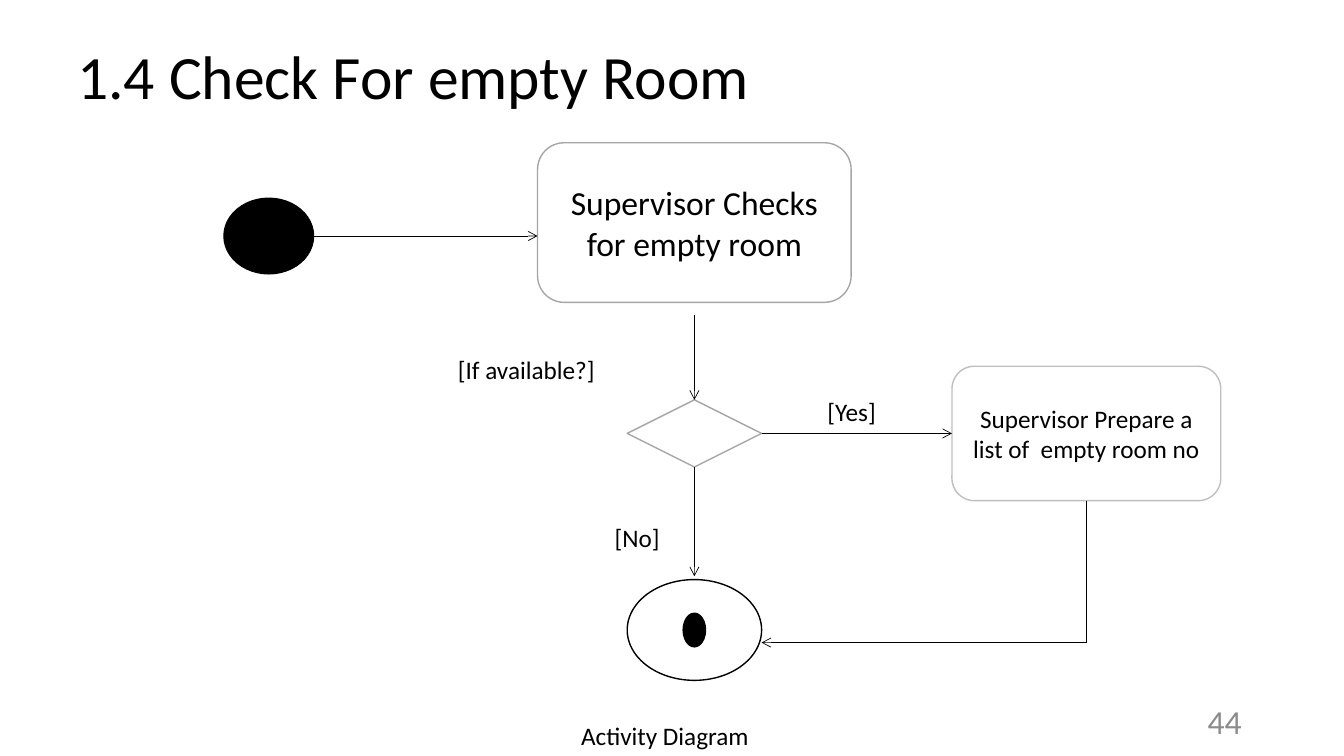
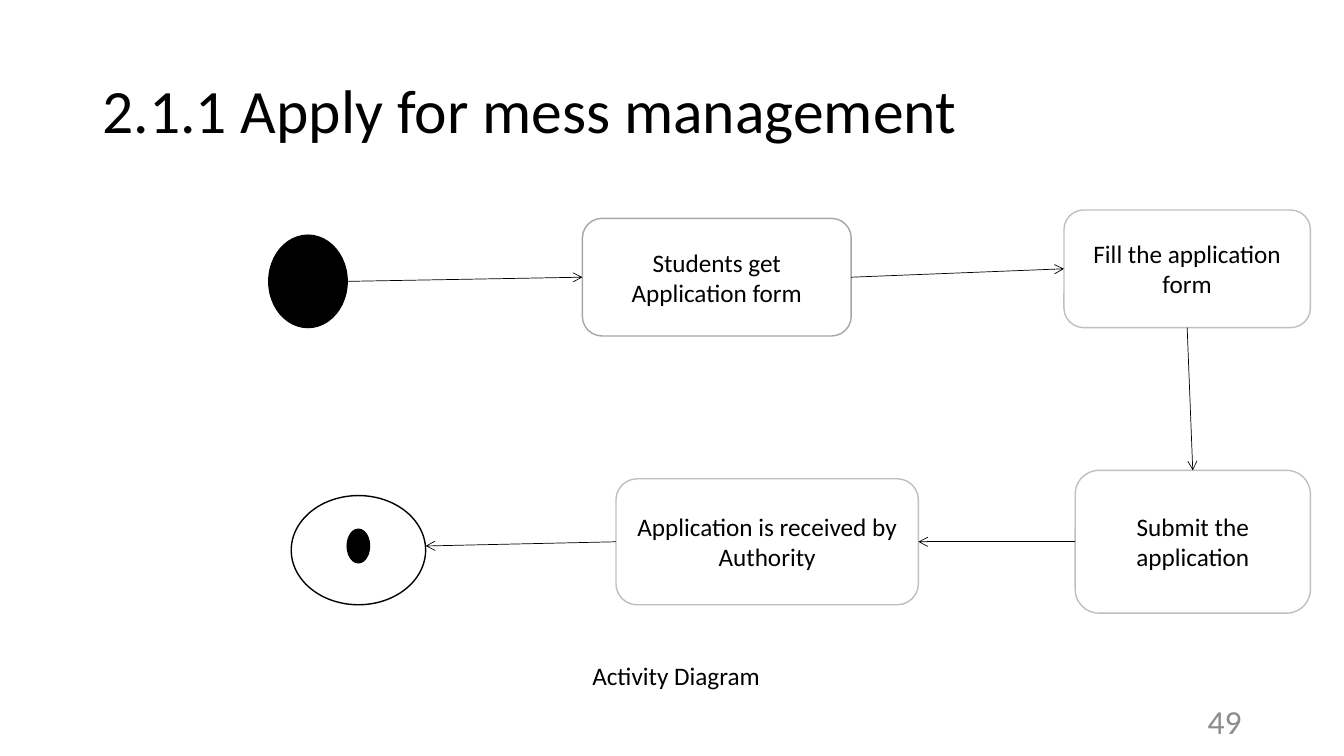
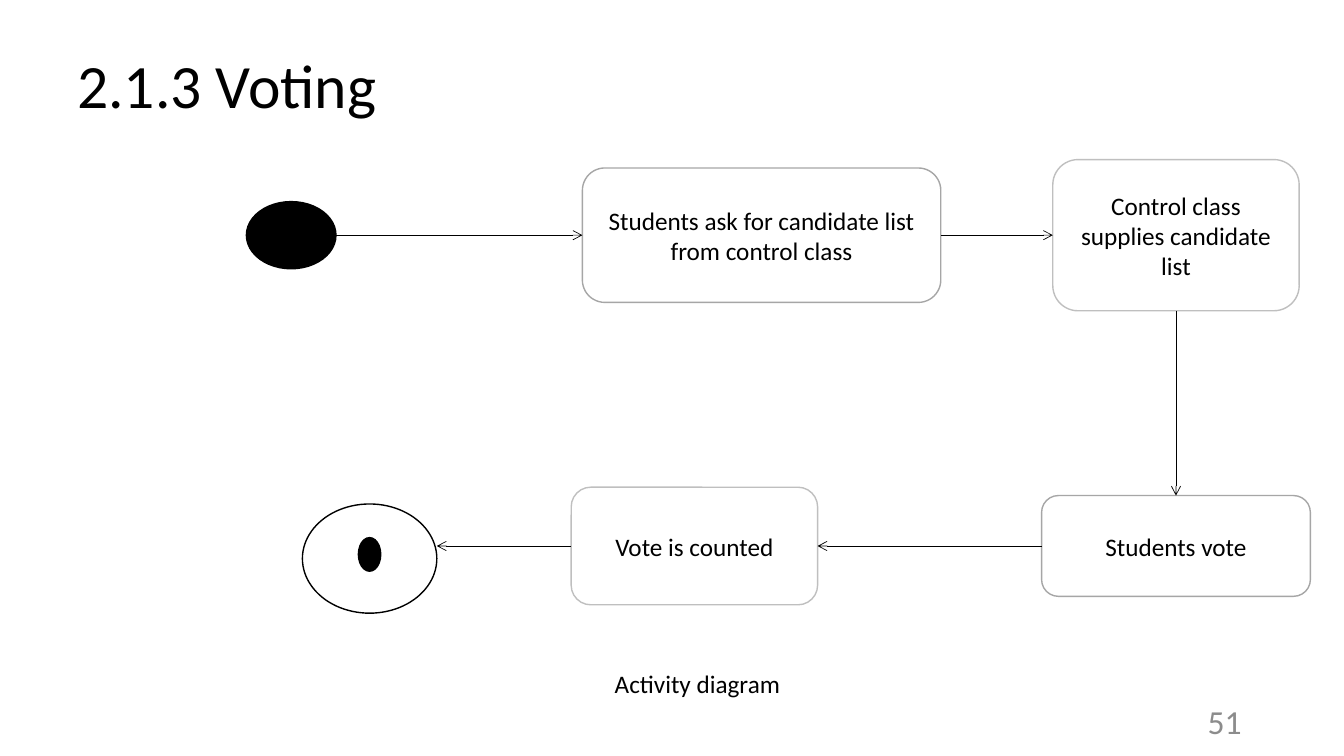
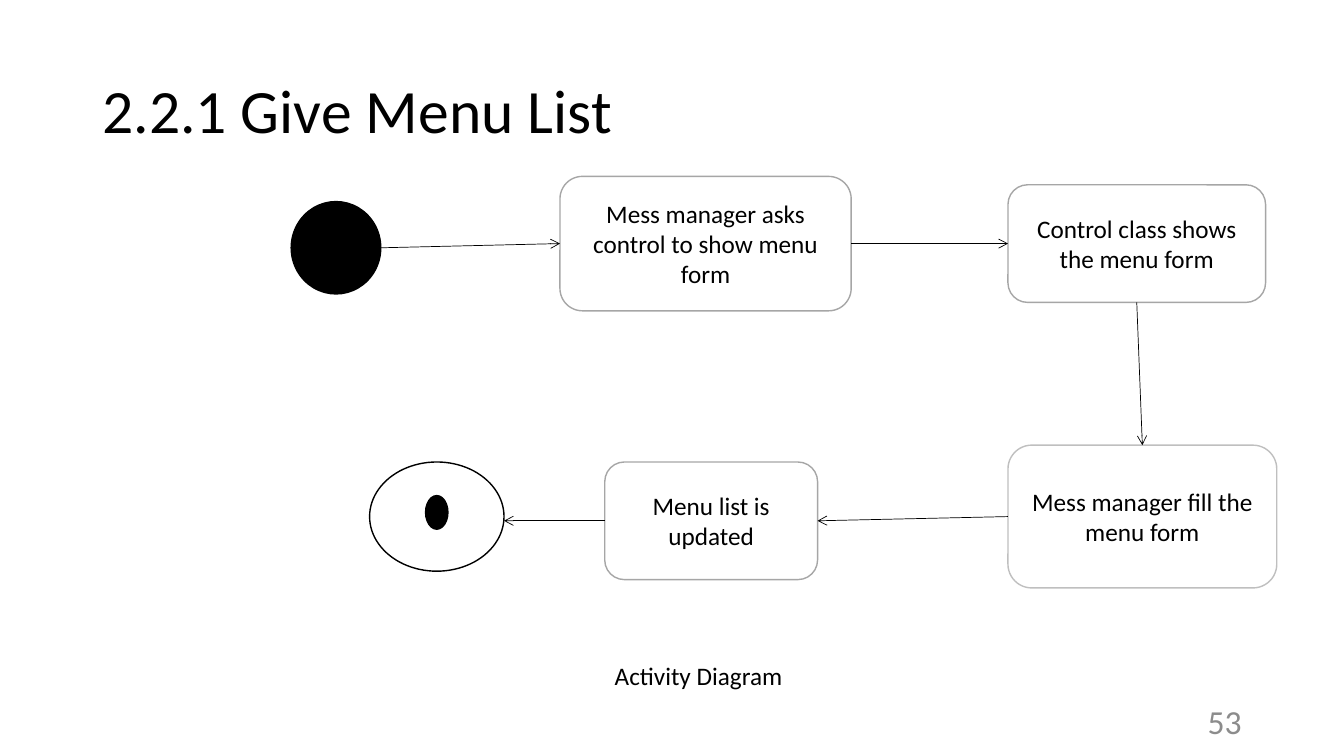
"""Build four activity-diagram slides on a grid of 120 columns by 90 rows."""
from pptx import Presentation
from pptx.dml.color import RGBColor
from pptx.enum.shapes import MSO_CONNECTOR, MSO_SHAPE
from pptx.enum.text import MSO_ANCHOR, MSO_AUTO_SIZE, PP_ALIGN
from pptx.oxml.ns import qn
from pptx.shapes.autoshape import Shape
from pptx.util import Inches, Pt
from lxml import etree

COLORS = {
    "ink": "000000",
    "paper": "FFFFFF",
    "border": "A6A6A6",
    "soft_border": "BFBFBF",
    "page_number": "8C8C8C",
}
FONT = "Calibri"
WIDTH, HEIGHT = Inches(13.333), Inches(7.5)
COLUMNS, ROWS = 120, 90
TITLE_ONLY = 5
TOP, LEFT_SIDE, BOTTOM, RIGHT_SIDE = range(4)
LEFT, CENTER, RIGHT = PP_ALIGN.LEFT, PP_ALIGN.CENTER, PP_ALIGN.RIGHT
OVAL, DOT = MSO_SHAPE.OVAL, MSO_SHAPE.FLOWCHART_CONNECTOR
ROUNDED, DECISION = MSO_SHAPE.ROUNDED_RECTANGLE, MSO_SHAPE.FLOWCHART_DECISION

HIGH_TITLE = (6, 3, 108, 15)
LOW_TITLE = (8.25, 4.8, 103.5, 17.4)

FLOWS = [
    {
        "title": "2.1.1 Apply for mess management",
        "title_area": LOW_TITLE,
        "number": "49",
        "start": (24, 28, 7, 11),
        "steps": [
            ("Students get Application form", (52, 26, 24, 14), "border"),
            ("Fill the application form", (95, 25, 22, 14), "soft_border"),
            ("Submit the application", (96, 56, 21, 17), "soft_border"),
            ("Application is received by Authority", (55, 57, 27, 15), "soft_border"),
        ],
        "final": (26, 59),
        "arrival_row": 65,
        "caption": ("Activity Diagram", 52, 78),
    },
    {
        "title": "2.1.3 Voting",
        "title_area": HIGH_TITLE,
        "number": "51",
        "start": (22, 24, 8, 8),
        "steps": [
            ("Students ask for candidate list from control class", (52, 20, 32, 16), "border"),
            ("Control class supplies candidate list", (94, 19, 22, 18), "soft_border"),
            ("Students vote", (93, 59, 24, 12), "border"),
            ("Vote is counted", (51, 58, 22, 14), "soft_border"),
        ],
        "final": (27, 60),
        "arrival_row": 65,
        "caption": ("Activity diagram", 54, 79),
    },
    {
        "title": "2.2.1 Give Menu List",
        "title_area": LOW_TITLE,
        "number": "53",
        "start": (26, 24, 8, 11),
        "steps": [
            ("Mess manager asks control to show menu form", (50, 21, 26, 16), "border"),
            ("Control class shows the menu form", (90, 22, 23, 14), "border"),
            ("Mess manager fill the menu form", (90, 53, 24, 17), "soft_border"),
            ("Menu list is updated", (54, 55, 19, 14), "border"),
        ],
        "final": (33, 55),
        "arrival_row": 62,
        "caption": ("Activity Diagram", 54, 78),
    },
]


def across(columns):
    """Turn grid columns into a length."""
    return round(WIDTH * columns / COLUMNS)


def down(rows):
    """Turn grid rows into a length."""
    return round(HEIGHT * rows / ROWS)


def place(column, row, columns, rows):
    """Turn a grid area into left, top, width and height."""
    return across(column), down(row), across(columns), down(rows)


def rgb(name):
    """Look up a colour by name."""
    return RGBColor.from_string(COLORS[name])


def write(shape, text, size=18, align=LEFT, anchor=MSO_ANCHOR.MIDDLE, color="ink"):
    """Put one formatted run into a shape and return its paragraph."""
    frame = shape.text_frame
    frame.word_wrap = True
    frame.vertical_anchor = anchor
    paragraph = frame.paragraphs[0]
    paragraph.alignment = align
    run = paragraph.add_run()
    run.text = text
    run.font.name = FONT
    run.font.size = Pt(size)
    run.font.color.rgb = rgb(color)
    return paragraph


def add_slide(presentation, title, title_area, number):
    """Add a slide with its title and page number."""
    slide = presentation.slides.add_slide(presentation.slide_layouts[TITLE_ONLY])
    heading = slide.shapes.title
    heading.left, heading.top, heading.width, heading.height = place(*title_area)
    write(heading, title, 44).line_spacing = 0.9
    heading.text_frame.auto_size = MSO_AUTO_SIZE.NONE
    footer = slide.shapes.add_textbox(*place(84.75, 83.4, 27, 4.8))
    write(footer, number, 24, RIGHT, color="page_number")
    return slide


def add_node(slide, kind, area, fill="paper", line="ink"):
    """Add a filled and outlined preset shape."""
    shape = slide.shapes.add_shape(kind, *place(*area))
    shape.shadow.inherit = False
    shape.fill.solid()
    shape.fill.fore_color.rgb = rgb(fill)
    shape.line.color.rgb = rgb(line)
    shape.line.width = Pt(1)
    return shape


def add_step(slide, text, area, line, size=18):
    """Add a rounded box with centred text."""
    shape = add_node(slide, ROUNDED, area, line=line)
    write(shape, text, size, CENTER)
    return shape


def add_final(slide, column, row, rows=13):
    """Add the ringed dot that ends a diagram."""
    add_node(slide, OVAL, (column, row, 12, rows))
    add_node(slide, DOT, (column + 5, row + 4, 2, 4), "ink")


def add_label(slide, text, column, row, columns=17):
    """Add a one-line label."""
    label = slide.shapes.add_textbox(*place(column, row, columns, 4.8))
    write(label, text, anchor=MSO_ANCHOR.TOP)
    label.text_frame.word_wrap = False
    label.text_frame.auto_size = MSO_AUTO_SIZE.SHAPE_TO_FIT_TEXT


def add_arrow(slide, begin, end, head=True):
    """Link two ends, each a (column, row) point or a (shape, side) joint."""
    joints = [isinstance(stop[0], Shape) for stop in (begin, end)]
    points = []
    for stop, joined in zip((begin, end), joints):
        points += (0, 0) if joined else (across(stop[0]), down(stop[1]))
    connector = slide.shapes.add_connector(MSO_CONNECTOR.STRAIGHT, *points)
    if joints[0]:
        connector.begin_connect(*begin)
    if joints[1]:
        connector.end_connect(*end)
    connector.line.color.rgb = rgb("ink")
    connector.line.width = Pt(0.5)
    if head:
        etree.SubElement(connector.line._get_or_add_ln(), qn("a:tailEnd"), type="arrow")
    etree.SubElement(connector._element.spPr, qn("a:effectLst"))


def add_room_check(presentation):
    """Add the slide with the branching diagram."""
    slide = add_slide(presentation, "1.4 Check For empty Room", (6, 2, 108, 15), "44")
    add_node(slide, OVAL, (20, 23.6, 8, 9), "ink")
    add_step(slide, "Supervisor Checks for empty room", (48, 17, 28, 19), "border", 24)
    decision = add_node(slide, DECISION, (56, 47.6, 12, 8), line="border")
    listing = add_step(slide, "Supervisor Prepare a list of  empty room no",
                       (85, 43.6, 24, 16), "soft_border")
    add_final(slide, 56, 69, 12)
    add_arrow(slide, (28, 28.1), (48, 28.1))
    add_arrow(slide, (62, 37.5), (decision, TOP))
    add_arrow(slide, (decision, BOTTOM), (62, 68.6))
    add_arrow(slide, (decision, RIGHT_SIDE), (listing, LEFT_SIDE))
    add_arrow(slide, (listing, BOTTOM), (97, 76.5), head=False)
    add_arrow(slide, (97, 76.5), (68, 76.5))
    add_label(slide, "[If available?]", 40, 41.6, 22)
    add_label(slide, "[Yes]", 73, 46.6, 6.2)
    add_label(slide, "[No]", 54, 61.6, 5.8)
    add_label(slide, "Activity Diagram", 51, 85.2)


def add_flow(presentation, flow):
    """Add a slide whose steps run right, down and back left."""
    slide = add_slide(presentation, flow["title"], flow["title_area"], flow["number"])
    column, row, columns, rows = flow["start"]
    add_node(slide, OVAL, flow["start"], "ink")
    first, second, third, fourth = [add_step(slide, *step) for step in flow["steps"]]
    add_final(slide, *flow["final"])
    add_arrow(slide, (column + columns, row + rows / 2), (first, LEFT_SIDE))
    add_arrow(slide, (first, RIGHT_SIDE), (second, LEFT_SIDE))
    add_arrow(slide, (second, BOTTOM), (third, TOP))
    add_arrow(slide, (third, LEFT_SIDE), (fourth, RIGHT_SIDE))
    add_arrow(slide, (fourth, LEFT_SIDE), (flow["final"][0] + 12, flow["arrival_row"]))
    add_label(slide, *flow["caption"])


def main():
    """Build and save the presentation."""
    presentation = Presentation()
    presentation.slide_width, presentation.slide_height = WIDTH, HEIGHT
    add_room_check(presentation)
    for flow in FLOWS:
        add_flow(presentation, flow)
    presentation.save("out.pptx")


if __name__ == "__main__":
    main()
